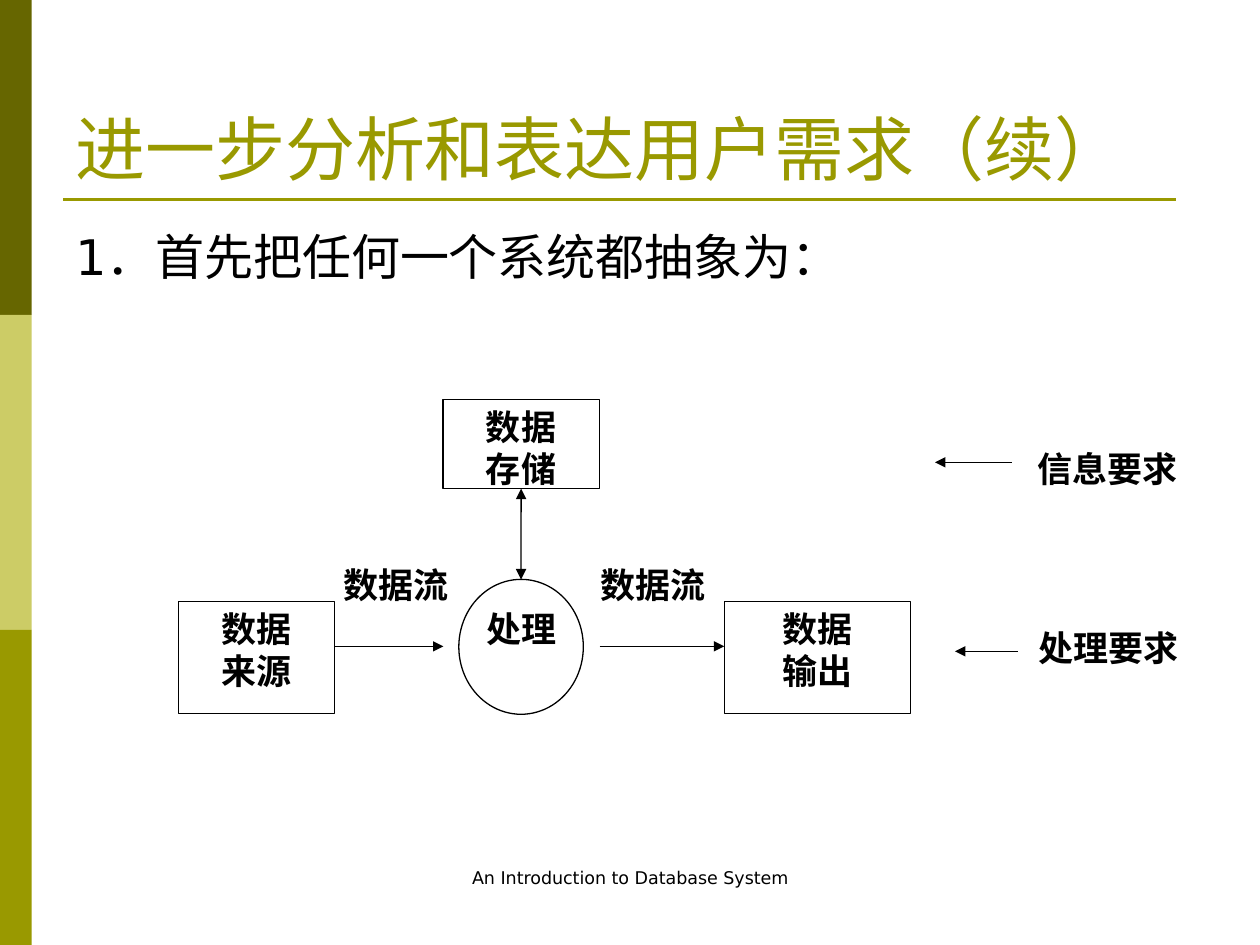
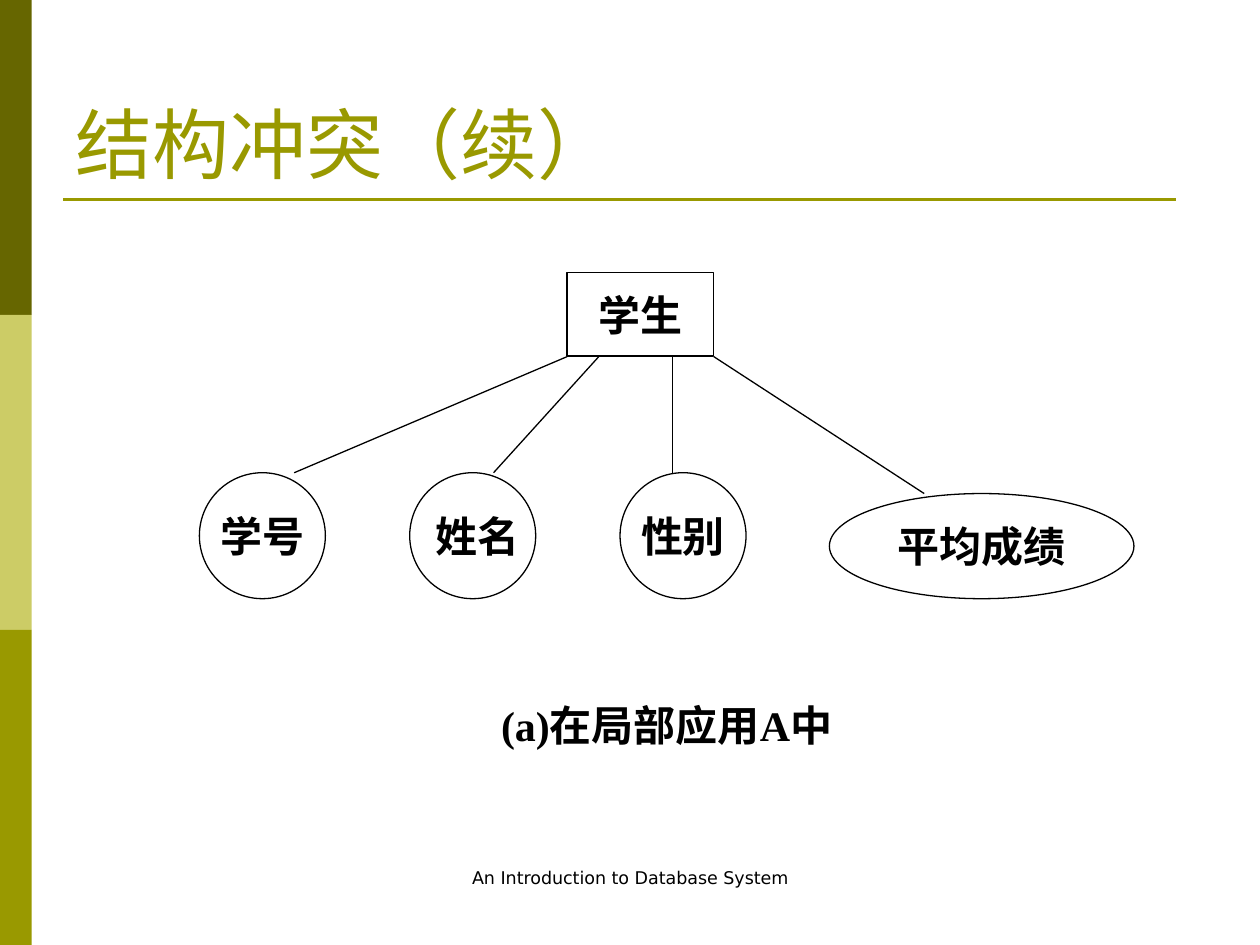
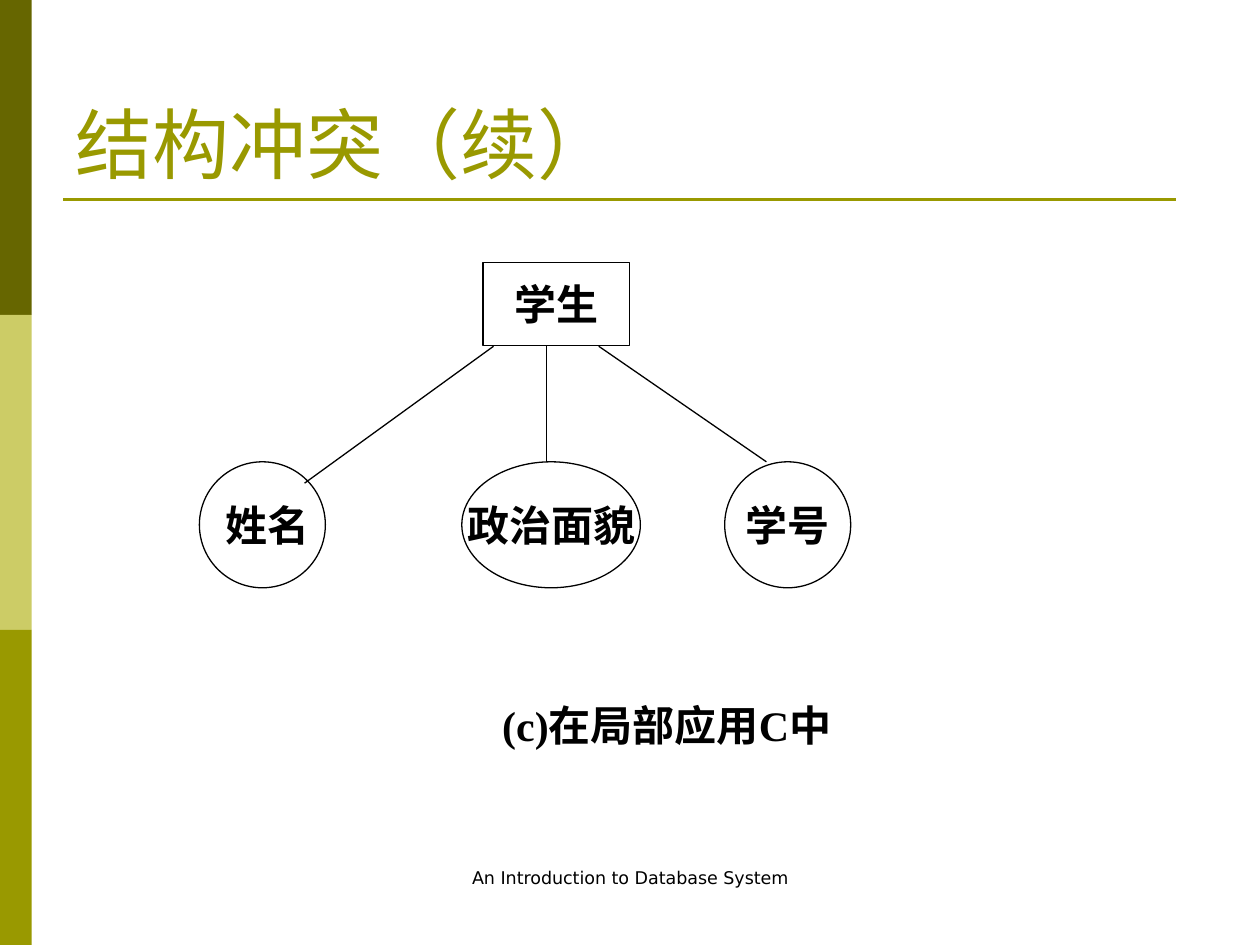
from lxml import etree
from pptx import Presentation, util as u
from pptx.dml.color import RGBColor
from pptx.enum import shapes, text
from pptx.oxml import ns

BLACK = RGBColor(0x00, 0x00, 0x00)
DARK_OLIVE = RGBColor(0x66, 0x66, 0x00)
PALE_OLIVE = RGBColor(0xCC, 0xCC, 0x66)
OLIVE = RGBColor(0x99, 0x99, 0x00)

RECTANGLE = shapes.MSO_SHAPE.RECTANGLE
OVAL = shapes.MSO_SHAPE.OVAL
LEFT, CENTER = text.PP_ALIGN.LEFT, text.PP_ALIGN.CENTER
TOP, MIDDLE, BOTTOM = text.MSO_ANCHOR.TOP, text.MSO_ANCHOR.MIDDLE, text.MSO_ANCHOR.BOTTOM

# Format values: text frame, paragraph and font attributes
STYLES = {
    "title": (
        {"vertical_anchor": BOTTOM, "word_wrap": True},
        {"alignment": LEFT},
        {"name": "Times New Roman", "size": u.Pt(44)}, OLIVE),
    "body": (
        {"vertical_anchor": TOP, "word_wrap": True},
        {"alignment": LEFT, "space_before": u.Pt(7)},
        {"name": "DejaVu Sans", "size": u.Pt(28)}, BLACK),
    "flow": (
        {"vertical_anchor": TOP, "word_wrap": True, "margin_left": 0, "margin_right": 0},
        {"alignment": CENTER},
        {"name": "Times New Roman", "size": u.Pt(20), "bold": True}, BLACK),
    "entity": (
        {"vertical_anchor": MIDDLE, "word_wrap": False},
        {"alignment": CENTER},
        {"name": "Times New Roman", "size": u.Pt(24), "bold": True}, BLACK),
    "footer": (
        {"vertical_anchor": TOP, "word_wrap": True},
        {"alignment": CENTER},
        {"name": "DejaVu Sans", "size": u.Pt(10)}, BLACK),
}


def add_box(page, kind, place, lines, style):
    """Add an outlined shape, or a plain text box when kind is None."""
    place = [u.Cm(value) for value in place]
    if kind is None:
        box = page.shapes.add_textbox(*place)
    else:
        box = page.shapes.add_shape(kind, *place)
        box.shadow.inherit = False
        box.fill.background()
        box.line.color.rgb = BLACK
        box.line.width = u.Pt(0.75)
    frame_format, para_format, font_format, color = STYLES[style]
    frame = box.text_frame
    for name, value in frame_format.items():
        setattr(frame, name, value)
    for number, line in enumerate(lines):
        para = frame.add_paragraph() if number else frame.paragraphs[0]
        for name, value in para_format.items():
            setattr(para, name, value)
        span = para.add_run()
        span.text = line
        for name, value in font_format.items():
            setattr(span.font, name, value)
        span.font.color.rgb = color
    return box


def add_line(page, ends, color=BLACK, width=0.75, arrows=()):
    """Add a straight line; arrows names the ends that carry a triangle."""
    line = page.shapes.add_connector(
        shapes.MSO_CONNECTOR.STRAIGHT, *[u.Cm(value) for value in ends])
    line.line.color.rgb = color
    line.line.width = u.Pt(width)
    for end in arrows:
        etree.SubElement(line.line._get_or_add_ln(), ns.qn(f"a:{end}"), type="triangle")
    etree.SubElement(line._element.spPr, ns.qn("a:effectLst"))
    return line


deck = Presentation()
deck.slide_width, deck.slide_height = u.Cm(25.4), u.Cm(19.05)

# Shared frame: side bands, title, rule and footer
pages = []
for title, title_size in (("进一步分析和表达用户需求（续）", 40),
                          ("结构冲突（续）", 44),
                          ("结构冲突（续）", 44)):
    page = deck.slides.add_slide(deck.slide_layouts[6])
    for number, color in enumerate((DARK_OLIVE, PALE_OLIVE, OLIVE)):
        band = page.shapes.add_shape(
            RECTANGLE, 0, u.Cm(6.35 * number), u.Cm(0.64), u.Cm(6.35))
        band.shadow.inherit = False
        band.fill.solid()
        band.fill.fore_color.rgb = color
        band.line.fill.background()
    add_line(page, (1.27, 4.02, 23.7, 4.02), OLIVE, 1.5)
    heading = add_box(page, None, (1.27, 0.76, 22.86, 3.18), [title], "title")
    heading.text_frame.paragraphs[0].runs[0].font.size = u.Pt(title_size)
    add_box(page, None, (8.68, 17.36, 8.05, 1.27),
            ["An Introduction to Database System"], "footer")
    pages.append(page)
flow_page, *conflict_pages = pages

# Slide 1: data flow diagram
add_box(flow_page, None, (1.27, 4.45, 22.86, 12.57),
        ["1．首先把任何一个系统都抽象为："], "body")
for label, place in (("数据流", (6.73, 11.23, 2.51, 1.8)),
                     ("数据流", (11.76, 11.23, 2.82, 1.8)),
                     ("信息要求", (20.75, 8.89, 3.15, 1.85)),
                     ("处理要求", (20.78, 12.5, 3.15, 1.45)),
                     ("处理", (9.58, 12.12, 1.88, 1.35))):
    add_box(flow_page, None, place, [label], "flow")
process = add_box(flow_page, OVAL, (9.25, 11.68, 2.51, 2.72), [], "flow")
store = add_box(flow_page, RECTANGLE, (8.93, 8.05, 3.15, 1.8), ["数据", "存储"], "flow")
add_box(flow_page, RECTANGLE, (3.6, 12.12, 3.15, 2.26), ["数据", "来源"], "flow")
add_box(flow_page, RECTANGLE, (14.6, 12.12, 3.76, 2.26), ["数据", "输出"], "flow")
for ends in ((6.75, 13.03, 8.94, 13.03), (12.09, 13.03, 14.6, 13.03),
             (20.4, 9.32, 18.85, 9.32), (20.52, 13.13, 19.25, 13.13)):
    add_line(flow_page, ends, arrows=["tailEnd"])
exchange = add_line(flow_page, (10.5, 9.85, 10.5, 11.68), arrows=["headEnd", "tailEnd"])
exchange.begin_connect(store, 2)
exchange.end_connect(process, 0)

# Slides 2 and 3: entity, its attributes, links and caption
diagrams = (
    ((11.43, 5.5),
     (("学号", (4.02, 9.53, 2.54, 2.54)), (" 姓名", (8.26, 9.53, 2.54, 2.54)),
      ("性别", (12.5, 9.53, 2.54, 2.54)), ("平均成绩", (16.72, 9.95, 6.14, 2.12))),
     ((11.43, 7.19, 5.93, 9.53), (12.07, 7.19, 9.95, 9.53),
      (13.55, 7.19, 13.55, 9.53), (14.39, 7.19, 18.63, 9.95)),
     "(a)在局部应用A中"),
    ((9.74, 5.29),
     ((" 姓名", (4.02, 9.31, 2.54, 2.54)), (" 政治面貌 ", (9.31, 9.31, 3.6, 2.54)),
      ("学号", (14.61, 9.31, 2.54, 2.54))),
     ((9.95, 6.98, 6.14, 9.74), (11.01, 6.98, 11.01, 9.31),
      (12.07, 6.98, 15.45, 9.31)),
     "(c)在局部应用C中"),
)
for page, (corner, attributes, links, caption) in zip(conflict_pages, diagrams):
    add_box(page, RECTANGLE, (*corner, 2.95, 1.68), ["学生"], "entity")
    for label, place in attributes:
        add_box(page, OVAL, place, [label], "entity")
    for ends in links:
        add_line(page, ends)
    add_box(page, None, (9.31, 13.76, 8.26, 1.69), [caption], "entity")

deck.save("out.pptx")
